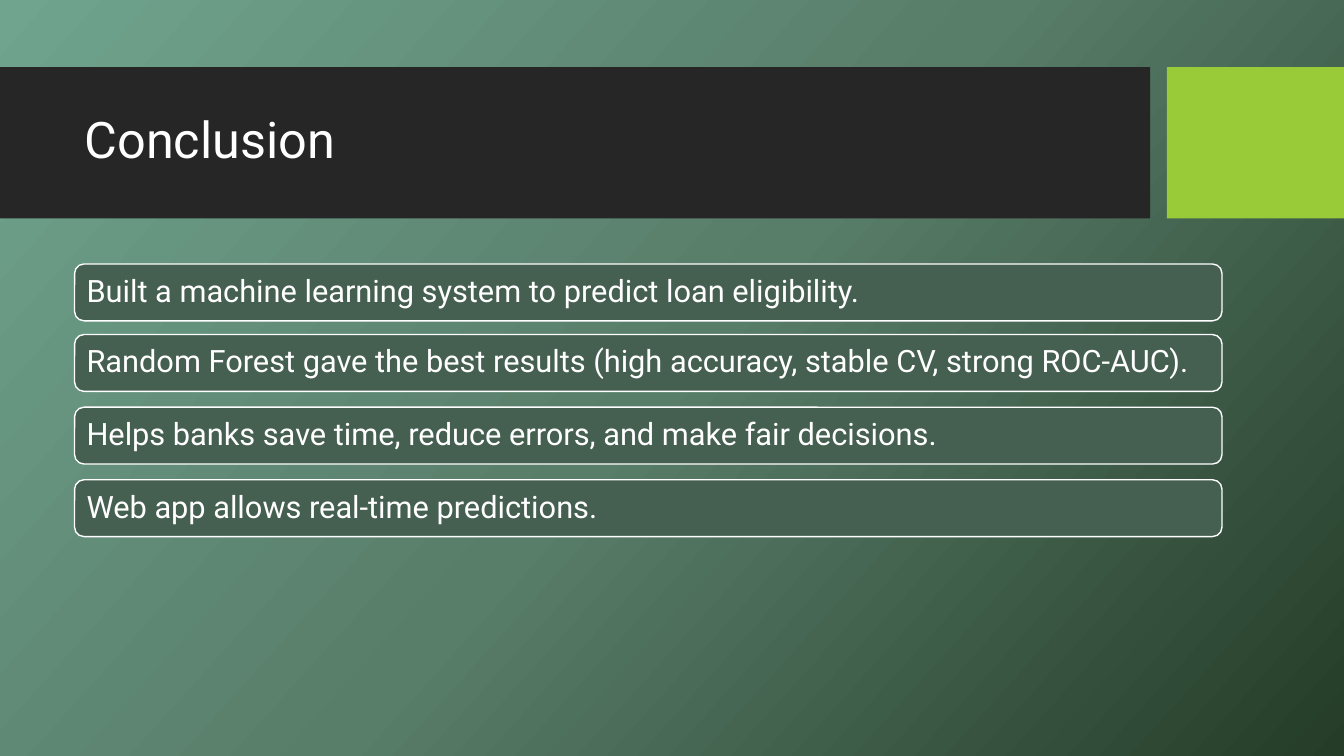
from copy import deepcopy
from dataclasses import dataclass

from pptx import Presentation
from pptx.dml.color import RGBColor
from pptx.enum.shapes import MSO_SHAPE
from pptx.enum.text import MSO_ANCHOR, PP_ALIGN
from pptx.shapes.base import BaseShape
from pptx.slide import Slide
from pptx.util import Pt

RECT, ROUNDED = MSO_SHAPE.RECTANGLE, MSO_SHAPE.ROUNDED_RECTANGLE
MIDDLE, LEFT = MSO_ANCHOR.MIDDLE, PP_ALIGN.LEFT

WHITE = RGBColor(0xFF, 0xFF, 0xFF)
CHARCOAL = RGBColor(0x26, 0x26, 0x26)
LIME = RGBColor(0x99, 0xCB, 0x38)
MOSS = RGBColor(0x45, 0x5F, 0x51)
GRADIENT = (
    (0, RGBColor(0x70, 0xA4, 0x8E)),
    (0.5, RGBColor(0x58, 0x7D, 0x69)),
    (1, RGBColor(0x24, 0x3C, 0x28)),
)
FONT = "Roboto"
MARGIN_LEFT = 53.3


@dataclass(frozen=True)
class Box:
    left: float
    top: float
    width: float
    height: float

    def lengths(self) -> tuple[Pt, ...]:
        return tuple(Pt(v) for v in (self.left, self.top, self.width, self.height))


@dataclass(frozen=True)
class Point:
    top: float
    text: str


BANNER = Box(0, 48, 821.5, 108)
ACCENT = Box(833.5, 48, 126.5, 108)
TITLE = Box(MARGIN_LEFT, 59, 756.7, 85)
POINTS = (
    Point(188.6, "Built a machine learning system to predict loan eligibility."),
    Point(239, "Random Forest gave the best results "
               "(high accuracy, stable CV, strong ROC-AUC)."),
    Point(290.9, "Helps banks save time, reduce errors, and make fair decisions."),
    Point(342.7, "Web app allows real-time predictions."),
)


def paint_background(s: Slide) -> None:
    fill = s.background.fill
    fill.gradient()
    fill.gradient_angle = 318  # counter-clockwise
    stops = s.element.find(".//{*}gsLst")
    stops.append(deepcopy(stops[-1]))
    for stop, (position, color) in zip(fill.gradient_stops, GRADIENT):
        stop.position = position
        stop.color.rgb = color


def add_block(s: Slide, kind: MSO_SHAPE, box: Box, color: RGBColor) -> BaseShape:
    sp = s.shapes.add_shape(kind, *box.lengths())
    sp.shadow.inherit = False
    sp.fill.solid()
    sp.fill.fore_color.rgb = color
    sp.line.fill.background()
    return sp


def write(sp: BaseShape, text: str, size: float, inset: float) -> None:
    """Set one left-aligned, vertically centred line of white text."""
    tf = sp.text_frame
    frame_format = {
        "word_wrap": True,
        "vertical_anchor": MIDDLE,
        "margin_left": Pt(inset),
        "margin_right": Pt(inset),
    }
    for name, value in frame_format.items():
        setattr(tf, name, value)
    p = tf.paragraphs[0]
    p.alignment = LEFT
    p.line_spacing = 0.9
    r = p.add_run()
    r.text = text
    for name, value in {"name": FONT, "size": Pt(size)}.items():
        setattr(r.font, name, value)
    r.font.color.rgb = WHITE


def main() -> None:
    prs = Presentation()
    prs.slide_width, prs.slide_height = Pt(960), Pt(540)
    s = prs.slides.add_slide(prs.slide_layouts[6])
    paint_background(s)

    add_block(s, RECT, BANNER, CHARCOAL)
    add_block(s, RECT, ACCENT, LIME)
    write(s.shapes.add_textbox(*TITLE.lengths()), "Conclusion", 36, 7.2)

    for point in POINTS:
        box = Box(MARGIN_LEFT, point.top, 819.6, 40.6)
        sp = add_block(s, ROUNDED, box, MOSS)
        sp.line.color.rgb = WHITE
        sp.line.width = Pt(1)
        write(sp, point.text, 22, 6.6)

    prs.save("out.pptx")


if __name__ == "__main__":
    main()
